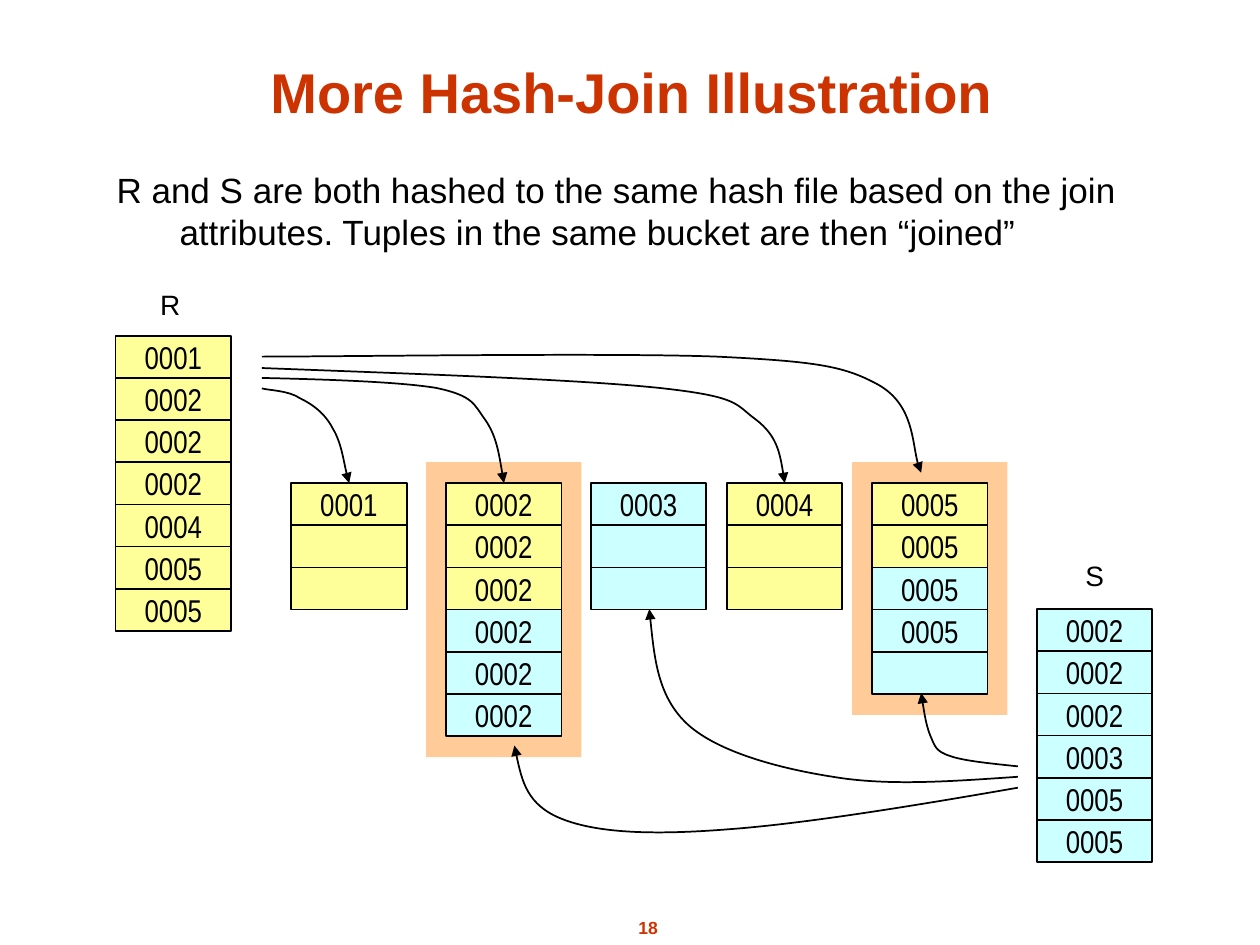
import pptx
import pptx.util
import pptx.dml.color
import pptx.enum.shapes
import pptx.enum.text
import pptx.oxml
import pptx.oxml.ns

Cm, Pt = pptx.util.Cm, pptx.util.Pt
ALIGN = pptx.enum.text.PP_ALIGN
ANCHOR = pptx.enum.text.MSO_ANCHOR
HEX = {"red": "CC3300", "black": "000000", "yellow": "FFFF99",
       "blue": "CCFFFF", "orange": "FFCC99"}
WIDE, HIGH = 2.33, 0.85  # one cell
PAD = 0.4  # rim of a highlight
TOP = 9.74  # top edge of the hash buckets

# left edge, tuples from R, tuples from S, highlighted
BUCKETS = [
    (5.87, ["0001", "", ""], [], False),
    (8.99, ["0002"] * 3, ["0002"] * 3, True),
    (11.91, [], ["0003", "", ""], False),
    (14.65, ["0004", "", ""], [], False),
    (17.58, ["0005"] * 2, ["0005", "0005", ""], True),
]
# start point, then three points for each Bezier segment
FROM_R = [
    [(5.28, 7.19), (6.81, 7.19), (12.37, 7.11), (14.45, 7.19), (16.54, 7.29),
     (17.04, 7.39), (17.73, 7.77), (18.42, 8.18), (18.39, 9.17), (18.57, 9.53)],
    [(5.28, 7.42), (8.46, 7.54), (11.63, 7.65), (13.28, 7.82), (14.94, 8),
     (14.81, 8.15), (15.24, 8.46), (15.67, 8.79), (15.75, 9.27), (15.82, TOP)],
    [(5.28, 7.62), (6.65, 7.65), (8.05, 7.7), (8.79, 7.82), (9.55, 7.98),
     (9.55, 8.15), (9.78, 8.46), (10.01, 8.79), (10.08, 9.27), (10.16, TOP)],
    [(5.28, 7.83), (5.41, 7.87), (5.82, 7.87), (6.05, 8.03), (6.3, 8.15),
     (6.55, 8.33), (6.71, 8.64), (6.88, 8.92), (6.96, 9.5), (7.04, TOP)],
]
FROM_S = [
    [(20.52, 15.45), (19.96, 15.39), (19.43, 15.34), (19.15, 15.24), (18.85, 15.14),
     (18.85, 15.04), (18.75, 14.82), (18.67, 14.61), (18.62, 14.3), (18.57, 13.97)],
    [(20.52, 15.66), (19.2, 15.75), (17.91, 15.85), (16.79, 15.66), (15.7, 15.49),
     (14.48, 15.16), (13.87, 14.61), (13.26, 14.05), (13.18, 13.16), (13.09, 12.28)],
    [(20.52, 15.88), (18.34, 16.26), (16.18, 16.61), (14.66, 16.72), (13.13, 16.84),
     (12.04, 16.79), (11.33, 16.51), (10.62, 16.23), (10.49, 15.62), (10.37, 15.03)],
]


def rgb(name):
    return pptx.dml.color.RGBColor.from_string(HEX[name])


class Page:
    """Style and current slide."""
    font, narrow = "Arial", "Arial Narrow"

    def __init__(self, deck):
        self.slide = deck.slides.add_slide(deck.slide_layouts[5])
        self.shapes = self.slide.shapes

    def letter(self, shape, text, size, font=None, color="black", bold=False,
               align=ALIGN.CENTER, anchor=ANCHOR.MIDDLE, wrap=False):
        """Put one styled run of text into a shape."""
        frame = shape.text_frame
        frame.word_wrap = wrap
        frame.vertical_anchor = anchor
        para = frame.paragraphs[0]
        para.alignment = align
        run = para.add_run()
        run.text = text
        run.font.name = font or self.font
        run.font.size = Pt(size)
        run.font.bold = bold
        run.font.color.rgb = rgb(color)
        return para

    def title(self, text, *box):
        shape = self.shapes.title
        shape.left, shape.top, shape.width, shape.height = map(Cm, box)
        self.letter(shape, text, 32, color="red", bold=True,
                    anchor=ANCHOR.BOTTOM, wrap=True)

    def label(self, text, box, size, **style):
        shape = self.shapes.add_textbox(*map(Cm, box))
        return self.letter(shape, text, size, **style)

    def body(self, text, box):
        """Add a paragraph with a hanging indent."""
        para = self.label(text, box, 20, align=ALIGN.LEFT,
                          anchor=ANCHOR.TOP, wrap=True)
        props = para._p.get_or_add_pPr()
        props.set("marL", str(Cm(1.8)))
        props.set("indent", str(Cm(-1.27)))

    def rect(self, box, fill, edge=True):
        kind = pptx.enum.shapes.MSO_SHAPE.RECTANGLE
        shape = self.shapes.add_shape(kind, *map(Cm, box))
        shape.shadow.inherit = False
        shape.fill.solid()
        shape.fill.fore_color.rgb = rgb(fill)
        if edge:
            shape.line.color.rgb = rgb("black")
            shape.line.width = Pt(1)
        else:
            shape.line.fill.background()
        return shape

    def column(self, left, top, yellow, blue):
        """Stack one cell per tuple, yellow ones first."""
        cells = [(t, "yellow") for t in yellow] + [(t, "blue") for t in blue]
        for row, (text, fill) in enumerate(cells):
            cell = self.rect((left, top + row * HIGH, WIDE, HIGH), fill)
            if text:
                self.letter(cell, text, 18, self.narrow)

    def curve(self, points):
        """Draw a Bezier arrow through the given control points."""
        start, *rest = [(Cm(x), Cm(y)) for x, y in points]
        form = self.shapes.build_freeform(*start)
        form.add_line_segments(rest, close=False)
        shape = form.convert_to_shape()
        shape.shadow.inherit = False
        shape.fill.background()
        shape.line.color.rgb = rgb("black")
        shape.line.width = Pt(1)
        qn = pptx.oxml.ns.qn
        track = shape._element.find(".//" + qn("a:path"))
        steps = track.findall(qn("a:lnTo"))
        for i in range(0, len(steps), 3):
            bend = track.makeelement(qn("a:cubicBezTo"))
            track.append(bend)
            for step in steps[i:i + 3]:
                bend.append(step[0])
                track.remove(step)
        edge = shape.line._get_or_add_ln()
        edge.append(edge.makeelement(qn("a:tailEnd"), {"type": "triangle"}))


def main():
    deck = pptx.Presentation()
    deck.slide_width, deck.slide_height = Cm(25.4), Cm(19.05)
    page = Page(deck)
    page.title("More Hash-Join Illustration", 1.52, 0.94, 22.43, 1.7)
    page.body("R and S are both hashed to the same hash file based on the join "
              "attributes. Tuples in the same bucket are then “joined”",
              (1.57, 3.28, 21.82, 1.96))
    page.label("R", (2.77, 5.82, 1.32, 0.61), 16)
    page.label("S", (21.41, 11.3, 1.32, 0.61), 16)

    page.column(2.33, 6.77, ["0001"] + ["0002"] * 3 + ["0004"] + ["0005"] * 2, [])
    page.column(20.9, 12.28, [], ["0002"] * 3 + ["0003"] + ["0005"] * 2)
    for left, yellow, blue, lit in BUCKETS:
        if lit:
            tall = (len(yellow) + len(blue) + 1) * HIGH
            page.rect((left - PAD, TOP - HIGH / 2, WIDE + 2 * PAD, tall),
                      "orange", edge=False)
        page.column(left, TOP, yellow, blue)
    for points in FROM_R + FROM_S:
        page.curve(points)

    page.label("18", (11.96, 18.36, 2.21, 0.69), 10, color="red", bold=True,
               anchor=ANCHOR.TOP)
    deck.save("out.pptx")


if __name__ == "__main__":
    main()
